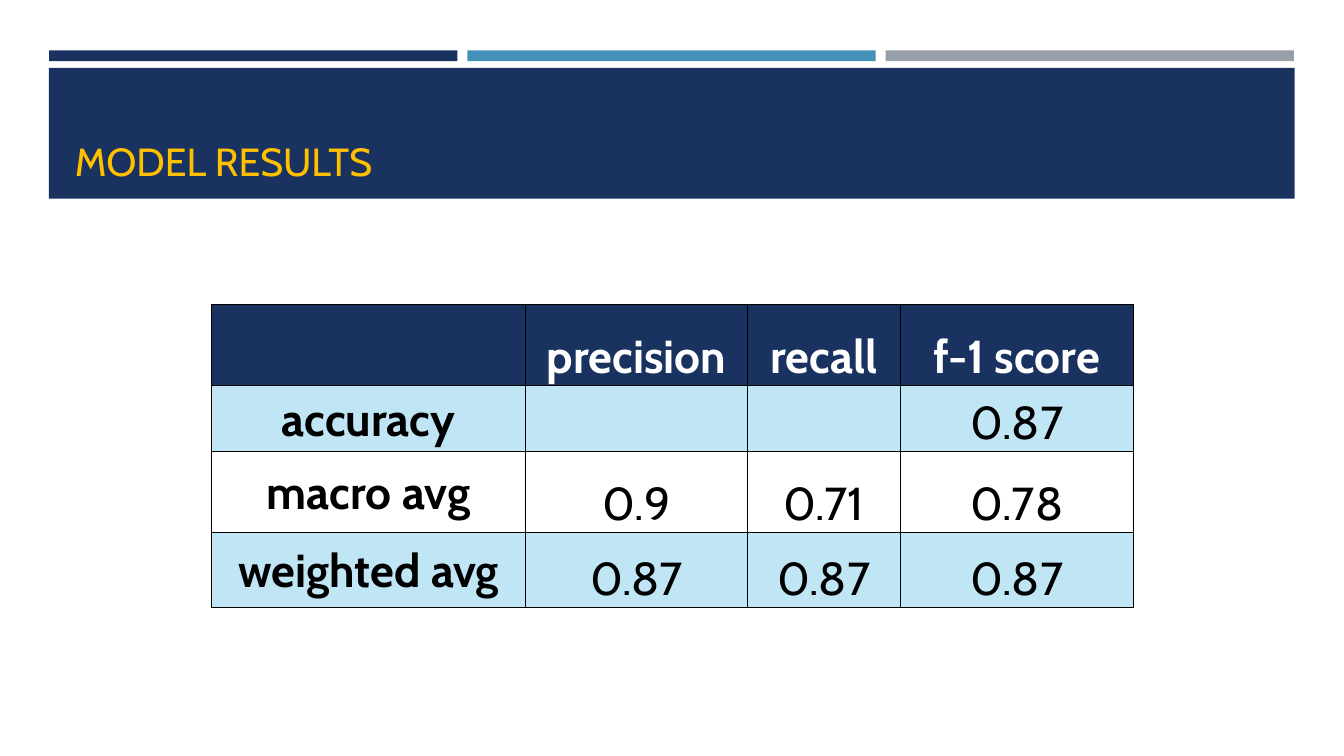
"""Build the model results slide with its table of scores."""
import lxml.etree
import pptx
import pptx.dml.color
import pptx.enum.shapes
import pptx.enum.text
import pptx.oxml.ns
import pptx.util
from pptx.util import Cm

NAVY = pptx.dml.color.RGBColor(0x1A, 0x32, 0x60)
BLUE = pptx.dml.color.RGBColor(0x45, 0x90, 0xB8)
GREY = pptx.dml.color.RGBColor(0x96, 0x9F, 0xA7)
GOLD = pptx.dml.color.RGBColor(0xFF, 0xC0, 0x00)
PALE_BLUE = pptx.dml.color.RGBColor(0xC0, 0xE6, 0xF5)
WHITE = pptx.dml.color.RGBColor(0xFF, 0xFF, 0xFF)
BLACK = pptx.dml.color.RGBColor(0x00, 0x00, 0x00)

FONT = "Cabin"
ANCHOR = pptx.enum.text.MSO_ANCHOR
ALIGN = pptx.enum.text.PP_ALIGN

BAR_COLOURS = (NAVY, BLUE, GREY)
BAR_LEFT, BAR_PITCH, BAR_WIDTH = 1.24, 10.54, 10.29
COLUMN_WIDTHS = (7.92, 5.59, 3.84, 5.89)
ROW_HEIGHTS = (2.03, 1.68, 2.03, 1.9)
ROW_FILLS = (NAVY, PALE_BLUE, None, PALE_BLUE)
SCORES = (
    ("", "precision", "recall", "f-1 score"),
    ("accuracy", "", "", "0.87"),
    ("macro avg", "0.9", "0.71", "0.78"),
    ("weighted avg", "0.87", "0.87", "0.87"),
)


def set_attributes(target, values):
    """Set each named attribute of the target."""
    for name, value in values.items():
        setattr(target, name, value)


def write_text(paragraph, text, alignment, colour, size, bold=False):
    """Write one formatted run into a paragraph."""
    paragraph.alignment = alignment
    run = paragraph.add_run()
    run.text = text
    set_attributes(run.font, {"name": FONT, "size": pptx.util.Pt(size), "bold": bold})
    run.font.color.rgb = colour


def add_block(slide, left, top, width, height, colour):
    """Add a plain filled rectangle."""
    shape = slide.shapes.add_shape(
        pptx.enum.shapes.MSO_SHAPE.RECTANGLE, Cm(left), Cm(top), Cm(width), Cm(height)
    )
    shape.shadow.inherit = False
    shape.fill.solid()
    shape.fill.fore_color.rgb = colour
    shape.line.fill.background()


def format_title(slide, text):
    """Place the title placeholder in front of the band and fill it."""
    title = slide.shapes.title
    title.element.getparent().append(title.element)
    set_attributes(
        title,
        {"left": Cm(1.63), "top": Cm(1.96), "width": Cm(30.63), "height": Cm(2.82)},
    )
    set_attributes(
        title.text_frame,
        {
            "vertical_anchor": ANCHOR.BOTTOM,
            "word_wrap": True,
            "auto_size": pptx.enum.text.MSO_AUTO_SIZE.NONE,
        },
    )
    write_text(title.text_frame.paragraphs[0], text, ALIGN.LEFT, GOLD, 28)


def add_borders(cell):
    """Draw a thin black line on each side of a cell."""
    properties = cell._tc.get_or_add_tcPr()
    qn = pptx.oxml.ns.qn
    for side in ("lnL", "lnR", "lnT", "lnB"):
        line = lxml.etree.SubElement(properties, qn(f"a:{side}"), w=str(pptx.util.Pt(0.5)))
        fill = lxml.etree.SubElement(line, qn("a:solidFill"))
        lxml.etree.SubElement(fill, qn("a:srgbClr"), val=str(BLACK))


def format_cell(cell, text, fill, is_header, is_label):
    """Fill one table cell and write its text."""
    add_borders(cell)
    if fill is None:
        cell.fill.background()
    else:
        cell.fill.solid()
        cell.fill.fore_color.rgb = fill
    inset = Cm(0.08)
    set_attributes(
        cell,
        {
            "margin_left": inset,
            "margin_right": inset,
            "margin_top": inset,
            "margin_bottom": 0,
            "vertical_anchor": ANCHOR.MIDDLE if is_label else ANCHOR.BOTTOM,
        },
    )
    if text:
        write_text(
            cell.text_frame.paragraphs[0],
            text,
            ALIGN.CENTER,
            WHITE if is_header else BLACK,
            33,
            is_header or is_label,
        )


def add_score_table(slide):
    """Add the table of scores."""
    table = slide.shapes.add_table(
        len(SCORES),
        len(COLUMN_WIDTHS),
        Cm(5.33),
        Cm(7.67),
        Cm(sum(COLUMN_WIDTHS)),
        Cm(sum(ROW_HEIGHTS)),
    ).table
    for column, width in zip(table.columns, COLUMN_WIDTHS):
        column.width = Cm(width)
    for row_index, (row, height) in enumerate(zip(table.rows, ROW_HEIGHTS)):
        row.height = Cm(height)
        for column_index, text in enumerate(SCORES[row_index]):
            format_cell(
                table.cell(row_index, column_index),
                text,
                ROW_FILLS[row_index],
                row_index == 0,
                column_index == 0,
            )


def main():
    """Build and save the presentation."""
    presentation = pptx.Presentation()
    set_attributes(presentation, {"slide_width": Cm(33.87), "slide_height": Cm(19.05)})
    slide = presentation.slides.add_slide(presentation.slide_layouts[5])
    for index, colour in enumerate(BAR_COLOURS):
        add_block(slide, BAR_LEFT + index * BAR_PITCH, 1.27, BAR_WIDTH, 0.27, colour)
    add_block(slide, 1.23, 1.71, 31.4, 3.3, NAVY)
    format_title(slide, "MODEL RESULTS")
    add_score_table(slide)
    presentation.save("out.pptx")


if __name__ == "__main__":
    main()
